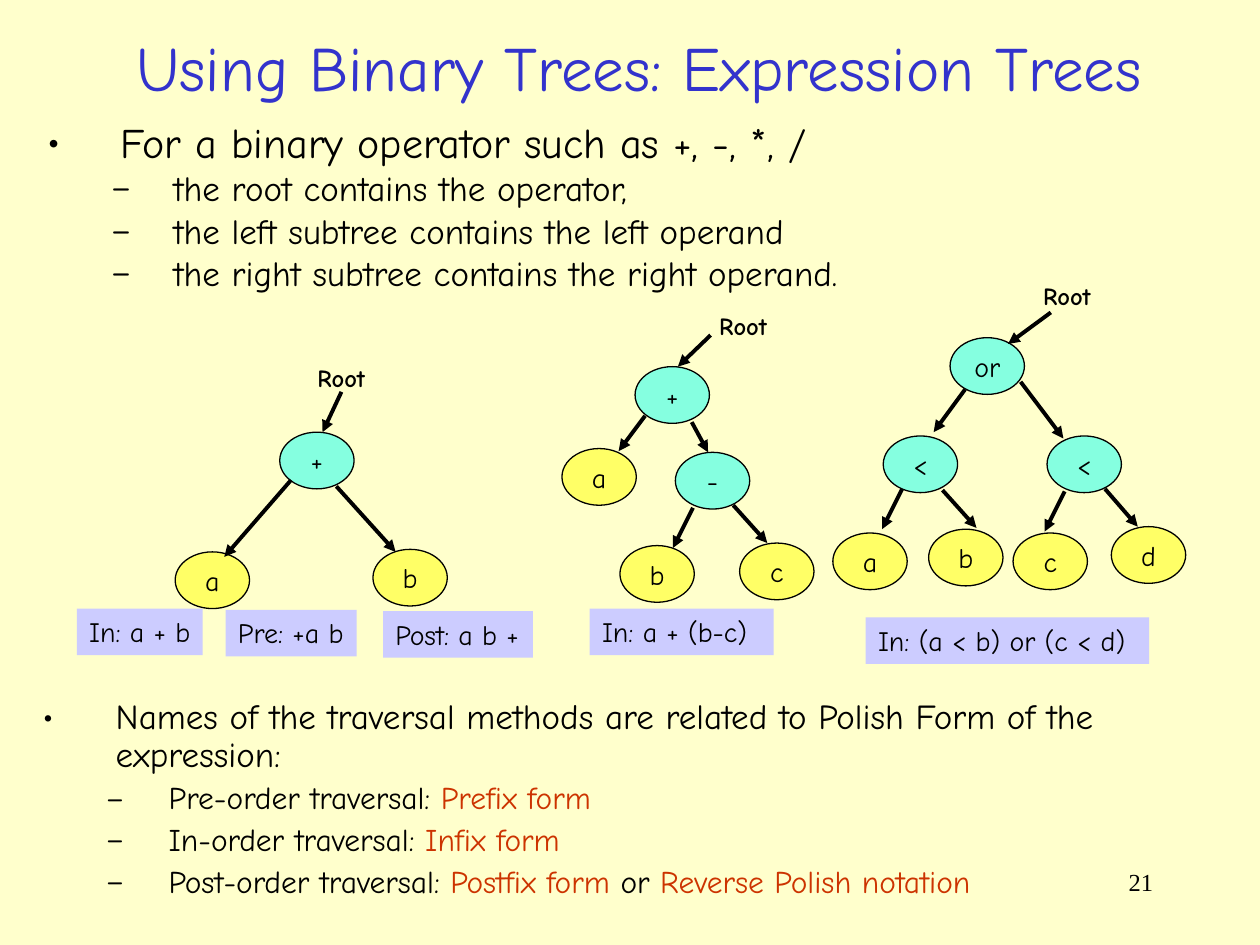
from lxml import etree
from pptx import Presentation
from pptx.dml.color import RGBColor
from pptx.enum import shapes, text
from pptx.oxml.ns import qn
from pptx.util import Inches, Pt

FONT = "Comic Neue"
COLORS = {"background": "FFFFCC", "title": "3333CC", "ink": "000000", "operator": "85FFE0",
          "operand": "FFFF66", "caption": "CCCCFF", "form": "CC3300"}
NODE_W, NODE_H = 0.59, 0.45

TITLE = "Using Binary Trees: Expression Trees"
# Each list item: level, runs of (text, colour)
OPERATOR_RULES = [
    (0, [("For a binary operator such as +, -, *, /", "ink")]),
    (1, [("the root contains the operator,", "ink")]),
    (1, [("the left subtree contains the left operand", "ink")]),
    (1, [("the right subtree contains the right operand.", "ink")]),
]
TRAVERSALS = [
    (0, [("Names of the traversal methods are related to Polish Form of the expression:", "ink")]),
    (1, [("Pre-order traversal: ", "ink"), ("Prefix form", "form")]),
    (1, [("In-order traversal: ", "ink"), ("Infix form", "form")]),
    (1, [("Post-order traversal: ", "ink"), ("Postfix form ", "form"), ("or", "ink"),
         (" Reverse Polish notation", "form")]),
]
# operators, operands: (label, left, top); arrows: (x1, y1, x2, y2), the first from "Root";
# captions: (text, left, top, width)
TREES = [
    {"root": (2.42, 2.83),
     "operators": [("+", 2.22, 3.43)],
     "operands": [("a", 1.39, 4.38), ("b", 2.96, 4.36)],
     "arrows": [(2.71, 3.11, 2.56, 3.43), (2.31, 3.81, 1.78, 4.42), (2.67, 3.86, 3.14, 4.38)],
     "captions": [("In: a + b", 0.61, 4.83, 1), ("Pre: +a b", 1.79, 4.84, 1.04),
                  ("Post: a b +", 3.04, 4.85, 1.19)]},
    {"root": (5.61, 2.42),
     "operators": [("+", 5.04, 2.91), ("-", 5.36, 3.59)],
     "operands": [("a", 4.46, 3.56), ("b", 4.92, 4.33), ("c", 5.87, 4.31)],
     "arrows": [(5.64, 2.66, 5.38, 2.91), (5.12, 3.3, 4.91, 3.58), (5.49, 3.35, 5.62, 3.59),
                (5.5, 4.03, 5.34, 4.35), (5.82, 4.01, 6.09, 4.31)],
     "captions": [("In: a + (b-c)", 4.68, 4.83, 1.46)]},
    {"root": (8.18, 2.18),
     "operators": [("or", 7.54, 2.68), ("<", 7.01, 3.46), ("<", 8.31, 3.46)],
     "operands": [("a", 6.61, 4.23), ("b", 7.37, 4.2), ("c", 8.04, 4.23), ("d", 8.82, 4.18)],
     "arrows": [(8.34, 2.48, 8, 2.73), (7.66, 3.09, 7.41, 3.43), (8.1, 3.03, 8.44, 3.48),
                (7.16, 3.88, 7, 4.2), (7.48, 3.89, 7.75, 4.19),
                (8.45, 3.9, 8.29, 4.22), (8.77, 3.88, 9.03, 4.18)],
     "captions": [("In: (a < b) or (c < d)", 6.87, 4.9, 2.25)]},
]


def rgb(name):
    return RGBColor.from_string(COLORS[name])


def set_font(font, size, color="ink", name=FONT, bold=False):
    for key, value in {"size": Pt(size), "name": name, "bold": bold}.items():
        setattr(font, key, value)
    font.color.rgb = rgb(color)


def write(sp, words, size, align=text.PP_ALIGN.LEFT, wrap=False, anchor=text.MSO_ANCHOR.TOP, **font):
    tf = sp.text_frame
    tf.word_wrap, tf.vertical_anchor = wrap, anchor
    p = tf.paragraphs[0]
    p.alignment = align
    r = p.add_run()
    r.text = words
    set_font(r.font, size, **font)


def add_text(s, box, words, size, **options):
    write(s.shapes.add_textbox(*map(Inches, box)), words, size, **options)


def add_shape(s, kind, box, fill, words, outline=None, **options):
    sp = s.shapes.add_shape(kind, *map(Inches, box))
    sp.shadow.inherit = False
    sp.fill.solid()
    sp.fill.fore_color.rgb = rgb(fill)
    if outline:
        sp.line.color.rgb = rgb(outline)
        sp.line.width = Pt(0.75)
    else:
        sp.line.fill.background()
    write(sp, words, 16, **options)


def add_arrow(s, ends):
    c = s.shapes.add_connector(shapes.MSO_CONNECTOR.STRAIGHT, *map(Inches, ends))
    c.line.color.rgb = rgb("ink")
    c.line.width = Pt(2.25)
    etree.SubElement(c.line._get_or_add_ln(), qn("a:tailEnd"), type="triangle")
    etree.SubElement(c._element.spPr, qn("a:effectLst"))


def add_bullet(p, level):
    margin, indent, mark = [(0.58, -0.58, "•"), (1, -0.5, "–")][level]
    p.level = level
    pPr = p._p.get_or_add_pPr()
    pPr.set("marL", str(Inches(margin)))
    pPr.set("indent", str(Inches(indent)))
    color = etree.SubElement(pPr, qn("a:buClr"))
    etree.SubElement(color, qn("a:srgbClr"), val=COLORS["ink"])
    etree.SubElement(pPr, qn("a:buFont"), typeface=FONT)
    etree.SubElement(pPr, qn("a:buChar"), char=mark)


def add_list(s, box, items, sizes, spacing, gaps):
    """Sizes and gaps hold one value for each level."""
    tf = s.shapes.add_textbox(*map(Inches, box)).text_frame
    tf.word_wrap = True
    for i, (level, runs) in enumerate(items):
        p = tf.add_paragraph() if i else tf.paragraphs[0]
        add_bullet(p, level)
        p.line_spacing = spacing
        p.space_before = Pt(gaps[level] if i else 0)
        for words, color in runs:
            r = p.add_run()
            r.text = words
            set_font(r.font, sizes[level], color)


def add_tree(s, tree):
    centred = {"align": text.PP_ALIGN.CENTER, "anchor": text.MSO_ANCHOR.MIDDLE}
    for kind in ("operator", "operand"):
        for label, x, y in tree[kind + "s"]:
            add_shape(s, shapes.MSO_SHAPE.OVAL, (x, y, NODE_W, NODE_H), kind, label, "ink", **centred)
    for ends in tree["arrows"]:
        add_arrow(s, ends)
    add_text(s, (*tree["root"], 0.58, 0.34), "Root", 14, bold=True)
    for words, x, y, width in tree["captions"]:
        add_shape(s, shapes.MSO_SHAPE.RECTANGLE, (x, y, width, 0.37), "caption", words)


def main():
    prs = Presentation()
    prs.slide_width, prs.slide_height = Inches(10), Inches(7.5)
    s = prs.slides.add_slide(prs.slide_layouts[5])
    s.background.fill.solid()
    s.background.fill.fore_color.rgb = rgb("background")

    title = s.shapes.title
    for side, value in zip(("left", "top", "width", "height"), (0.3, 0.15, 9.54, 0.76)):
        setattr(title, side, Inches(value))
    write(title, TITLE, 36, text.PP_ALIGN.CENTER, True, text.MSO_ANCHOR.MIDDLE, color="title")

    add_list(s, (0.28, 0.95, 9.41, 1.52), OPERATOR_RULES, (24, 20), 0.8, (6, 5))
    for tree in TREES:
        add_tree(s, tree)
    add_list(s, (0.24, 5.5, 9.41, 1.82), TRAVERSALS, (20, 18), 0.9, (5, 4.5))
    add_text(s, (7.17, 6.83, 2.08, 0.5), "21", 14, align=text.PP_ALIGN.RIGHT, wrap=True,
             name="Times New Roman")
    prs.save("out.pptx")


if __name__ == "__main__":
    main()
